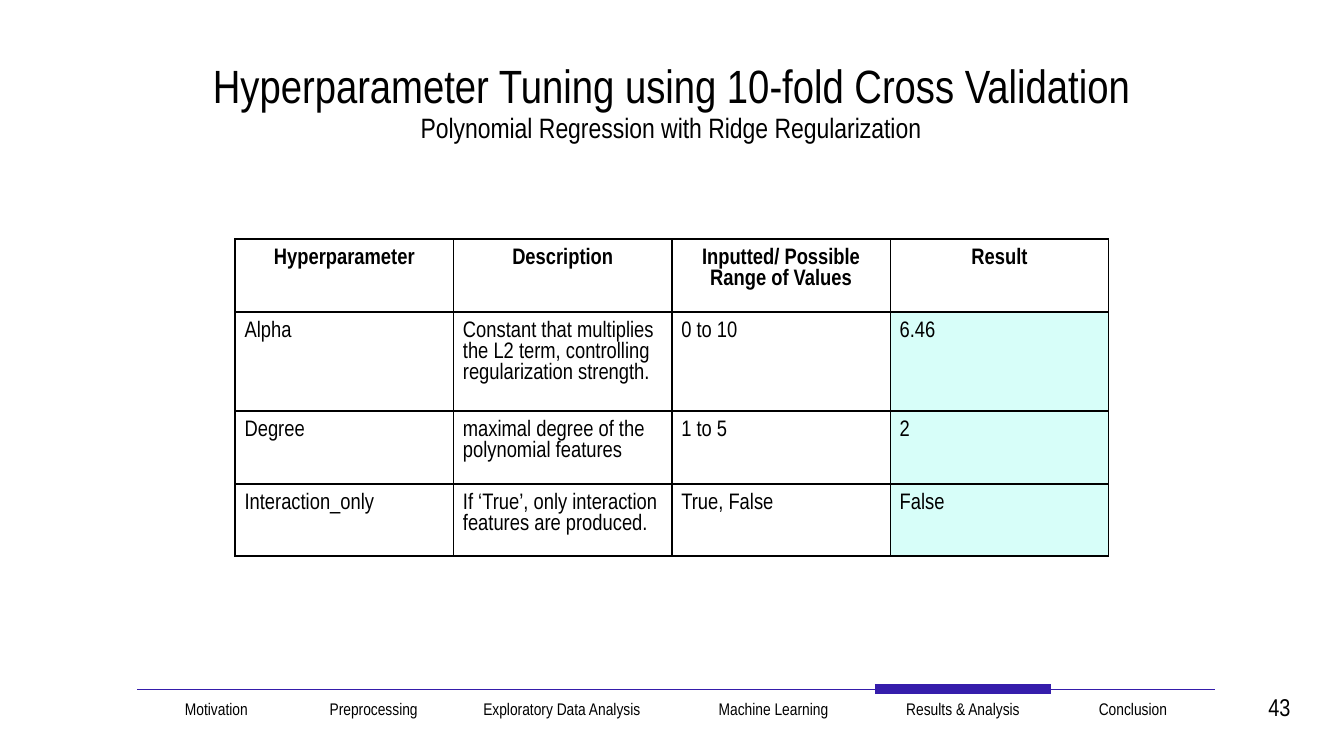
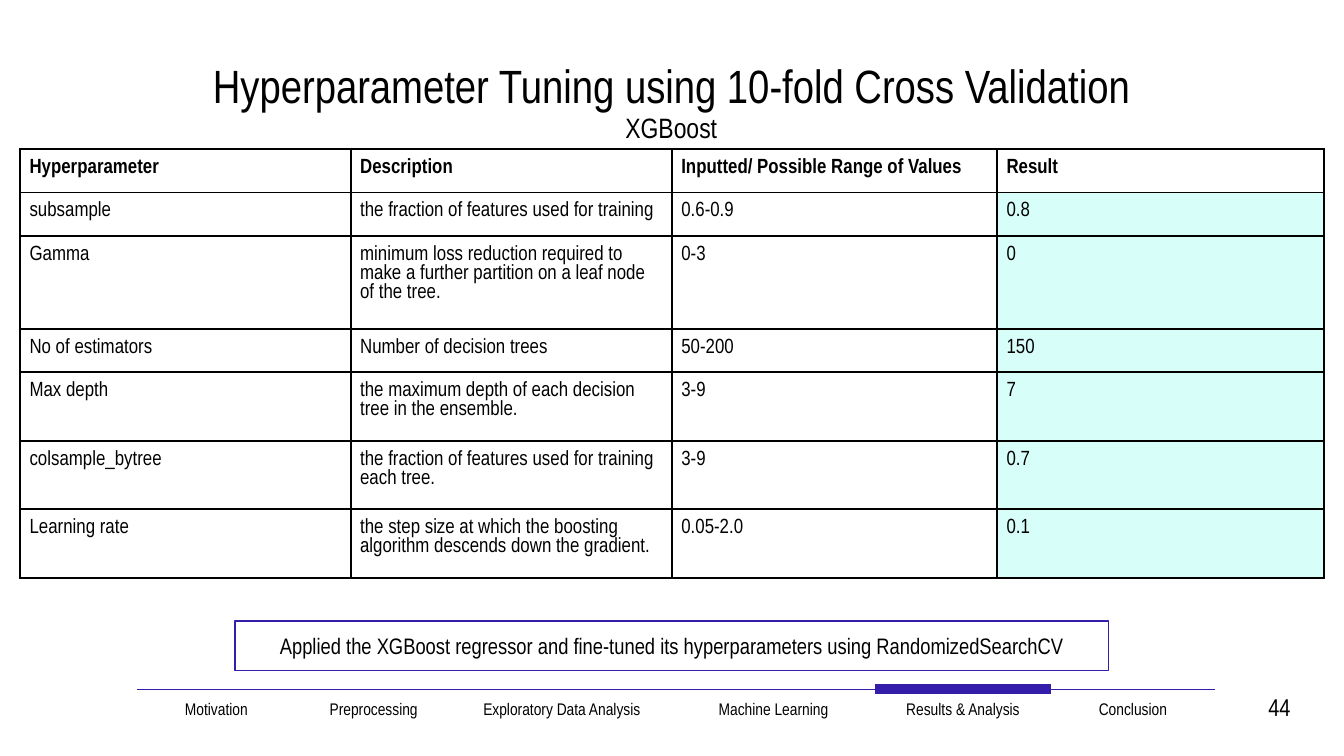
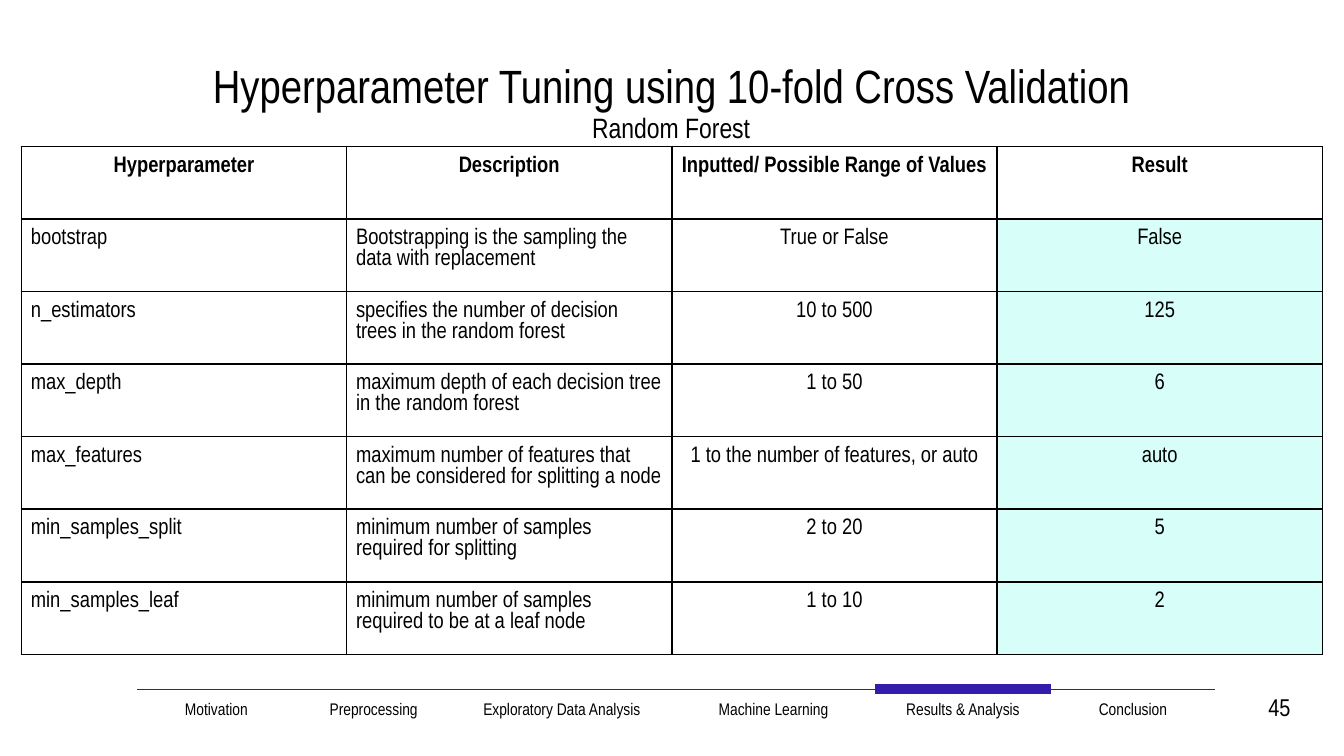
from lxml import etree
from pptx import Presentation
from pptx.dml.color import RGBColor
from pptx.enum import shapes, text
from pptx.oxml.ns import qn
from pptx.util import Inches, Pt

FONT = "Arial Narrow"
BLACK = RGBColor(0x00, 0x00, 0x00)
INDIGO = RGBColor(0x35, 0x1D, 0xAB)
MINT = RGBColor(0xA0, 0xFD, 0xF1)
MINT_OPACITY = 42
PLAIN_TABLE_STYLE = "{2D5ABB26-0587-4C30-8999-92F81FD0307C}"
LEFT, CENTER, RIGHT = text.PP_ALIGN.LEFT, text.PP_ALIGN.CENTER, text.PP_ALIGN.RIGHT

# Shared content
TITLE = "Hyperparameter Tuning using 10-fold Cross Validation"
HEADER = ("Hyperparameter", "Description", "Inputted/ Possible Range of Values", "Result")
SECTIONS = [("Motivation", 1.18), ("Preprocessing", 1.16),
            ("Exploratory Data Analysis", 1.64), ("Machine Learning", 1.51),
            ("Results & Analysis", 1.31), ("Conclusion", 1.22)]
CURRENT_SECTION = "Results & Analysis"
FIRST_PAGE = 43

# Slide content
SLIDES = [
    dict(
        model="Polynomial Regression with Ridge Regularization",
        at=(1.75, 1.78), widths=[1.625] * 4, heights=[0.54, 0.74, 0.54, 0.54],
        size=12, header_align=CENTER, value_align=LEFT,
        rows=[
            ("Alpha", "Constant that multiplies the L2 term, controlling "
             "regularization strength.", "0 to 10", "6.46"),
            ("Degree", "maximal degree of the polynomial features", "1 to 5", "2"),
            ("Interaction_only", "If ‘True’, only interaction features are produced.",
             "True, False", "False"),
        ]),
    dict(
        model="XGBoost",
        at=(0.15, 1.11), widths=[2.46, 2.39, 2.42, 2.43],
        heights=[0.32, 0.32, 0.69, 0.32, 0.51, 0.51, 0.51],
        size=11, header_align=LEFT, value_align=LEFT,
        rows=[
            ("subsample", "the fraction of features used for training", "0.6-0.9", "0.8"),
            ("Gamma", "minimum loss reduction required to make a further partition "
             "on a leaf node of the tree.", "0-3", "0"),
            ("No of estimators", "Number of decision trees", "50-200", "150"),
            ("Max depth", "the maximum depth of each decision tree in the ensemble.",
             "3-9", "7"),
            ("colsample_bytree", "the fraction of features used for training each tree.",
             "3-9", "0.7"),
            ("Learning rate", "the step size at which the boosting algorithm descends "
             "down the gradient.", "0.05-2.0", "0.1"),
        ],
        note="Applied the XGBoost regressor and fine-tuned its hyperparameters "
             "using RandomizedSearchCV"),
    dict(
        model="Random Forest",
        at=(0.16, 1.09), widths=[2.42] * 4, heights=[0.54] * 7,
        size=12, header_align=CENTER, value_align=CENTER,
        rows=[
            ("bootstrap", "Bootstrapping is the sampling the data with replacement",
             "True or False", "False"),
            ("n_estimators", "specifies the number of decision trees in the random forest",
             "10 to 500", "125"),
            ("max_depth", "maximum depth of each decision tree in the random forest",
             "1 to 50", "6"),
            ("max_features", "maximum number of features that can be considered for "
             "splitting a node", "1 to the number of features, or auto", "auto"),
            ("min_samples_split", "minimum number of samples required for splitting",
             "2 to 20", "5"),
            ("min_samples_leaf", "minimum number of samples required to be at a leaf node",
             "1 to 10", "2"),
        ]),
]


def write(tf, words, size, align, bold=False):
    p = tf.paragraphs[0]
    p.alignment = align
    r = p.add_run()
    r.text = words
    r.font.name, r.font.size, r.font.bold = FONT, Pt(size), bold
    r.font.color.rgb = BLACK


def set_insets(box, inset):
    box.margin_left = box.margin_right = Inches(inset)
    box.margin_top = box.margin_bottom = Inches(inset)


def add_text(slide, at, words, size, align=CENTER):
    tf = slide.shapes.add_textbox(*map(Inches, at)).text_frame
    tf.word_wrap = True
    set_insets(tf, 0.1)
    write(tf, words, size, align)


def add_plain_table(slide, at, widths, heights):
    size = Inches(sum(widths)), Inches(sum(heights))
    table = slide.shapes.add_table(len(heights), len(widths), *map(Inches, at), *size).table
    table.first_row = table.horz_banding = False
    table._tbl.tblPr.find(qn("a:tableStyleId")).text = PLAIN_TABLE_STYLE
    for column, width in zip(table.columns, widths):
        column.width = Inches(width)
    for row, height in zip(table.rows, heights):
        row.height = Inches(height)
    return table


def set_borders(cell, sides, color, width):
    tc_pr = cell._tc.get_or_add_tcPr()
    for side in sides:
        ln = etree.SubElement(tc_pr, qn("a:ln" + side), w=str(Pt(width)))
        fill = etree.SubElement(ln, qn("a:solidFill"))
        etree.SubElement(fill, qn("a:srgbClr"), val=str(color))


def fill_mint(cell):
    cell.fill.solid()
    cell.fill.fore_color.rgb = MINT
    color = cell._tc.tcPr.find(qn("a:solidFill"))[0]
    etree.SubElement(color, qn("a:alpha"), val=str(MINT_OPACITY * 1000))


def add_frame(slide, model, page):
    # Section bar
    bar = add_plain_table(slide, (1.02, 5.13), [w for _, w in SECTIONS], [0.5])
    for cell, (name, _) in zip(bar.rows[0].cells, SECTIONS):
        set_insets(cell, 0.1)
        set_borders(cell, "T", INDIGO, 6 if name == CURRENT_SECTION else 0.75)
        cell.fill.background()
        write(cell.text_frame, name, 9, CENTER)
    add_text(slide, (9.25, 5.05, 0.45, 0.5), str(page), 13, RIGHT)
    # Title and model name
    add_text(slide, (0.56, 0.32, 8.87, 0.63), TITLE, 25)
    add_text(slide, (0.56, 0.72, 8.87, 0.45), model, 15)


def add_parameters(slide, c):
    table = add_plain_table(slide, c["at"], c["widths"], c["heights"])
    row_aligns = [LEFT, LEFT, c["value_align"], c["value_align"]]
    for i, row in enumerate([HEADER] + c["rows"]):
        aligns = row_aligns if i else [c["header_align"]] * len(HEADER)
        for j, (words, align) in enumerate(zip(row, aligns)):
            cell = table.cell(i, j)
            set_insets(cell, 0.07)
            set_borders(cell, "LRTB", BLACK, 1)
            if i and j == len(HEADER) - 1:
                fill_mint(cell)
            else:
                cell.fill.background()
            write(cell.text_frame, words, c["size"], align, bold=i == 0)


def add_note(slide, words):
    sp = slide.shapes.add_shape(shapes.MSO_SHAPE.RECTANGLE,
                                *map(Inches, (1.75, 4.62, 6.5, 0.37)))
    sp.shadow.inherit = False
    sp.fill.background()
    sp.line.color.rgb = INDIGO
    sp.line.width = Pt(0.75)
    tf = sp.text_frame
    tf.word_wrap = True
    tf.vertical_anchor = text.MSO_ANCHOR.MIDDLE
    set_insets(tf, 0.1)
    write(tf, words, 12, CENTER)


def main():
    prs = Presentation()
    prs.slide_width, prs.slide_height = Inches(10), Inches(5.625)
    for page, content in enumerate(SLIDES, FIRST_PAGE):
        slide = prs.slides.add_slide(prs.slide_layouts[6])
        add_frame(slide, content["model"], page)
        add_parameters(slide, content)
        if "note" in content:
            add_note(slide, content["note"])
    prs.save("out.pptx")


if __name__ == "__main__":
    main()
